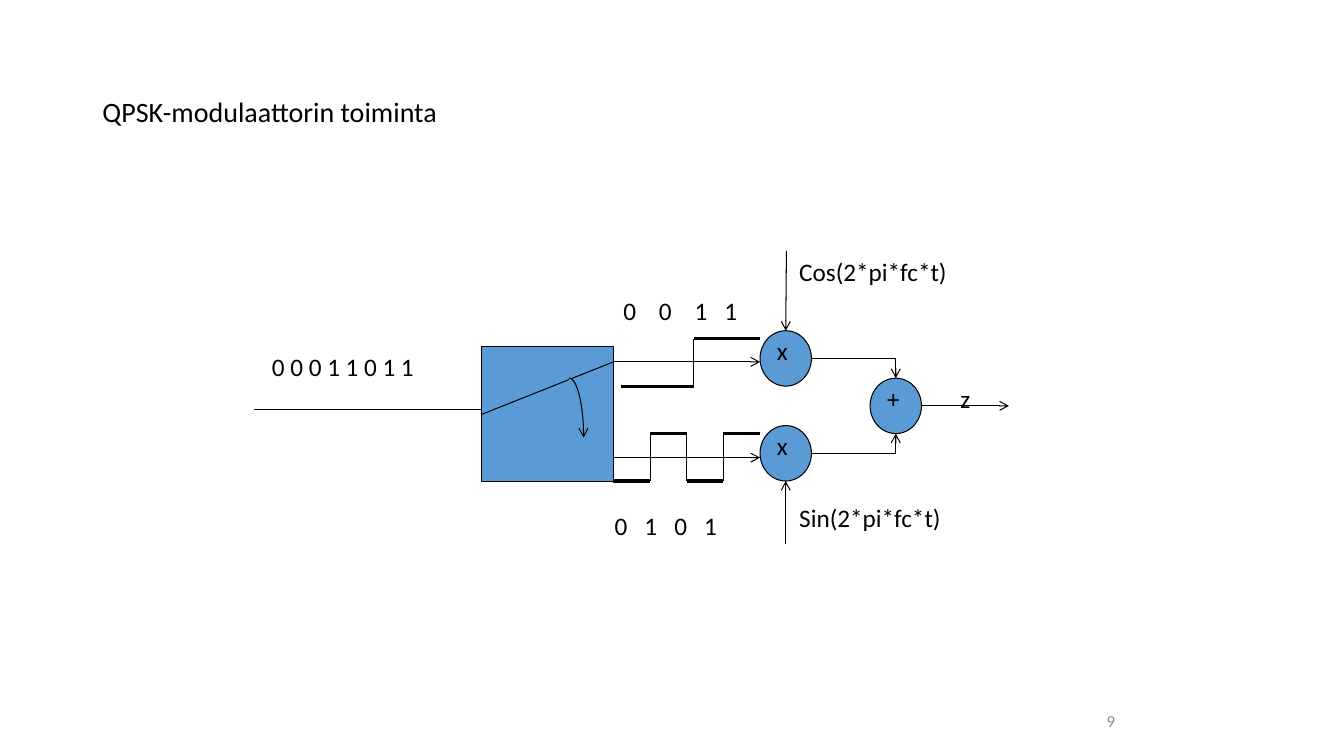
from collections import namedtuple

from lxml import etree
from pptx import Presentation
from pptx.dml.color import RGBColor
from pptx.enum.shapes import MSO_CONNECTOR as Link, MSO_SHAPE as Preset
from pptx.enum.text import MSO_ANCHOR as Anchor, MSO_AUTO_SIZE as Fit, PP_ALIGN as Align
from pptx.oxml.ns import qn
from pptx.util import Pt

BLACK = RGBColor(0, 0, 0)
BLUE = RGBColor(0x5B, 0x9B, 0xD5)
GREY = RGBColor(0x8C, 0x8C, 0x8C)
FONT = "Calibri"
THIN, THICK = 0.75, 2.25
LABEL_HEIGHT = 29
NODE_WIDTH, NODE_HEIGHT = 36.7, 39.6
BIT_WIDTH, SWING = 26.2, 33.8

Box = namedtuple("Box", "left top width height")


def in_points(*lengths):
    return [Pt(length) for length in lengths]


def write(paragraph, text, size, color=BLACK):
    run = paragraph.add_run()
    run.text = text
    run.font.name, run.font.size = FONT, Pt(size)
    run.font.color.rgb = color


def add_label(slide, box, text, size=18, color=BLACK, tabs=()):
    """Write one line of text; tabs are stops measured from the text edge."""
    frame = slide.shapes.add_textbox(*in_points(*box)).text_frame
    frame.word_wrap = True
    paragraph = frame.paragraphs[0]
    if tabs:
        properties = paragraph._p.get_or_add_pPr()
        stops = etree.SubElement(properties, qn("a:tabLst"))
        for stop in tabs:
            etree.SubElement(stops, qn("a:tab"), pos=str(Pt(stop)), algn="l")
    write(paragraph, text, size, color)
    return frame


def add_arrowhead(line):
    etree.SubElement(line._get_or_add_ln(), qn("a:tailEnd"), type="arrow")


def add_line(slide, start, end, weight=THIN, arrow=False, bent=False):
    kind = Link.ELBOW if bent else Link.STRAIGHT
    link = slide.shapes.add_connector(kind, *in_points(*start, *end))
    link.line.color.rgb = BLACK
    link.line.width = Pt(weight)
    properties = link._element.spPr
    etree.SubElement(properties, qn("a:effectLst"))
    if bent:
        properties.find(qn("a:prstGeom")).set("prst", "bentConnector2")
    if arrow:
        add_arrowhead(link.line)
    return link


def add_blue_shape(slide, preset, box):
    shape = slide.shapes.add_shape(preset, *in_points(*box))
    shape.shadow.inherit = False
    shape.fill.solid()
    shape.fill.fore_color.rgb = BLUE
    shape.line.color.rgb = BLACK
    shape.line.width = Pt(THIN)
    return shape


def add_title(slide, box):
    title = slide.shapes.title
    title.left, title.top, title.width, title.height = in_points(*box)
    frame = title.text_frame
    frame.auto_size = Fit.NONE
    frame.vertical_anchor = Anchor.MIDDLE
    paragraph = frame.paragraphs[0]
    paragraph.alignment = Align.LEFT
    paragraph.line_spacing = 0.9
    write(paragraph, "QPSK-modulaattorin toiminta", 20)


def add_page_number(slide, box):
    frame = add_label(slide, box, "9", 12, GREY)
    frame.vertical_anchor = Anchor.MIDDLE
    frame.paragraphs[0].alignment = Align.RIGHT


def add_splitter(slide, box):
    """Draw the serial input and the switch that deals bits to two branches."""
    left, top, width, height = box
    right = left + width
    add_line(slide, (left - 162.8, top + 44.6), (left, top + 44.6))
    add_label(slide, Box(left - 157, top, 153.4, LABEL_HEIGHT), "0 0 0 1 1 0 1 1")
    block = add_blue_shape(slide, Preset.RECTANGLE, box)
    switch = add_line(slide, (left, top + height / 2), (right, top + 10.8))
    switch.begin_connect(block, 1)
    sweep = add_blue_shape(slide, Preset.ARC, Box(left + 51.8, top + 22.3, 20.9, 85))
    add_arrowhead(sweep.line)


def add_waveform(slide, starts, low, bits):
    """Draw each bit as a thick level, and a thin edge where the bit changes."""
    previous = bits[0]
    for start, bit in zip(starts, bits):
        level = low - SWING * bit
        add_line(slide, (start, level), (start + BIT_WIDTH, level), THICK)
        if bit != previous:
            add_line(slide, (start, low), (start, low - SWING))
        previous = bit


def add_branches(slide, box):
    """Draw the two bit streams between the splitter and the mixers."""
    left, top, width, height = box
    for wire in (top + 16.6, top + 85):
        add_line(slide, (left, wire), (left + width, wire), arrow=True)

    add_waveform(slide, [left + x for x in (5.5, 31.4, 57.4, 78.7)], top + 34, (0, 0, 1, 1))
    add_label(slide, Box(left, top - 34.5, 131, LABEL_HEIGHT),
              "0\t0\t1\t1", tabs=(25.4, 50.8, 72.1))

    starts = [left + BIT_WIDTH * i for i in range(4)]
    add_waveform(slide, starts, top + height, (0, 1, 0, 1))
    add_label(slide, Box(left - 6.2, top + 118.8, 122, LABEL_HEIGHT),
              "0\t1\t0\t1", tabs=[21.3 * i for i in (1, 2, 3)])


def add_node(slide, left, top, sign):
    add_blue_shape(slide, Preset.OVAL, Box(left, top, NODE_WIDTH, NODE_HEIGHT))
    add_label(slide, Box(left + 5, top, 26, LABEL_HEIGHT), sign)


def add_mixers(slide, box):
    """Draw the carriers, the two mixers and the adder that outputs z."""
    left, top, width, height = box
    middle = left + NODE_WIDTH / 2
    bottom = top + height
    lower = bottom - NODE_HEIGHT
    adder_left, adder_top = left + 78.6, (top + lower) / 2
    adder_middle = adder_left + NODE_WIDTH / 2

    for mixer_top, entry in ((top, adder_top), (lower, adder_top + NODE_HEIGHT)):
        add_node(slide, left, mixer_top, "x")
        add_line(slide, (left + NODE_WIDTH, mixer_top + NODE_HEIGHT / 2),
                 (adder_middle, entry), arrow=True, bent=True)
    add_node(slide, adder_left, adder_top, "+")

    add_line(slide, (middle + 0.5, top - 57), (middle, top), arrow=True)
    add_line(slide, (middle, bottom + 45.2), (middle, bottom), arrow=True)
    add_label(slide, Box(left + 20.9, top - 57, 204, LABEL_HEIGHT), "Cos(2*pi*fc*t)")
    add_label(slide, Box(left + 20.9, bottom + 11.5, 189, LABEL_HEIGHT), "Sin(2*pi*fc*t)")

    output = adder_top + NODE_HEIGHT / 2
    add_line(slide, (adder_left + NODE_WIDTH, output), (left + width, output), arrow=True)
    add_label(slide, Box(left + 136, adder_top, 32, LABEL_HEIGHT), "z")


def main():
    deck = Presentation()
    deck.slide_width, deck.slide_height = in_points(960, 540)
    slide = deck.slides.add_slide(deck.slide_layouts[5])
    add_title(slide, Box(66, 28.8, 828, 104.4))
    add_splitter(slide, Box(344.2, 247.7, 94, 96.5))
    add_branches(slide, Box(438.2, 241.9, 104.7, 101.7))
    add_mixers(slide, Box(542.9, 236.2, 177.8, 107.4))
    add_page_number(slide, Box(635.8, 500.4, 167.8, 28.8))
    deck.save("out.pptx")


if __name__ == "__main__":
    main()
